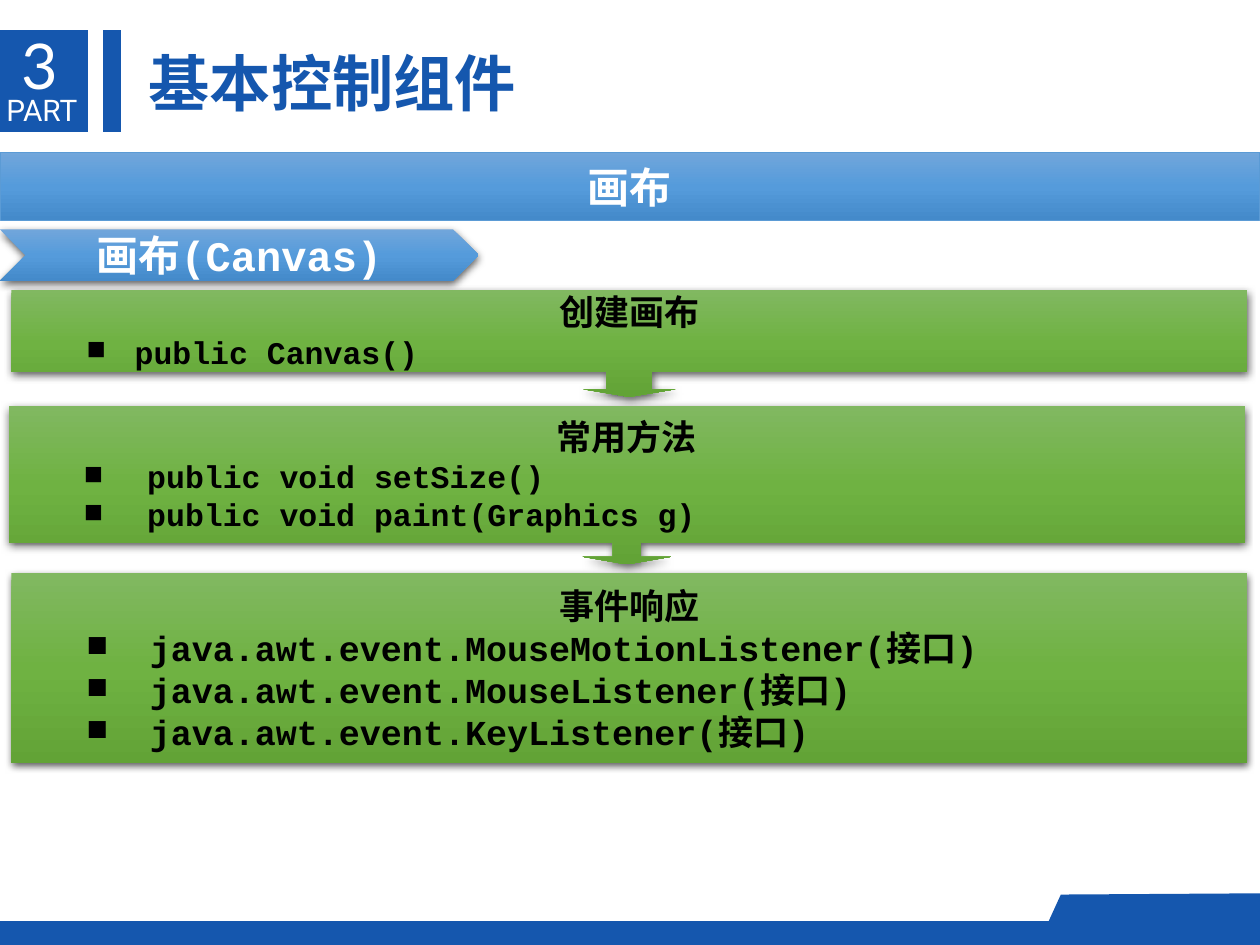
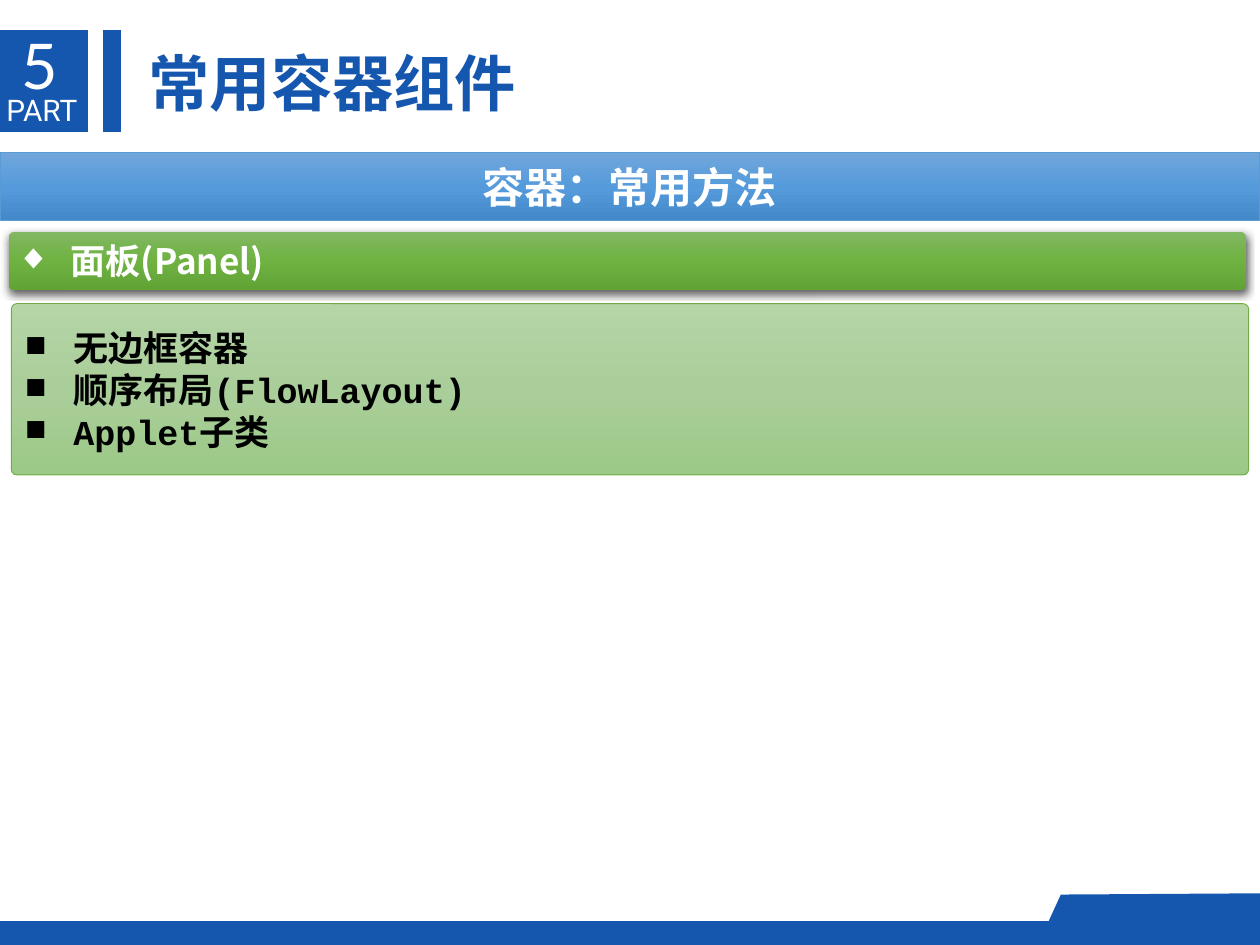
from copy import deepcopy

from lxml.etree import SubElement
from pptx import Presentation
from pptx.dml.color import RGBColor
from pptx.enum.shapes import MSO_SHAPE
from pptx.enum.text import MSO_ANCHOR, MSO_AUTO_SIZE, PP_ALIGN
from pptx.oxml.ns import qn
from pptx.util import Inches, Pt

NAVY, WHITE, BLACK = "1557AE", "FFFFFF", "000000"
BLUE = ("71A6DB", "559BDB", "448ACA")
GREEN = ("81B861", "6FB242", "62A336")
PALE_GREEN = ("B5D5A7", "AACE9A", "9CC987")
CJK, CODE = "Noto Sans CJK SC", "Courier New"

TITLE = {"size": Pt(35), "name": CJK, "bold": True}
BAND = {"size": Pt(24), "name": CJK, "bold": True}
CHEVRON = {"size": Pt(24), "name": CODE, "bold": True}
BODY = {"size": Pt(20), "name": CODE, "bold": True}
SMALL_BODY = {**BODY, "size": Pt(18)}
PANEL_HEAD = {**BODY, "name": CJK}
PART = {"size": Pt(17), "name": "Roboto", "bold": False}
NUMBER = {"size": Pt(36), "name": "Lato", "bold": False}


def write_text(box, lines, style, color, align=PP_ALIGN.LEFT, bullet=None, level=0):
    """Add lines to a box; bullet is (symbol, left margin, hanging width)."""
    frame = box.text_frame
    for line in lines:
        para = frame.paragraphs[0] if not frame.text else frame.add_paragraph()
        para.alignment = align
        para.level = level
        if bullet:
            symbol, margin, hanging = bullet
            properties = para._p.get_or_add_pPr()
            properties.set("marL", str(Inches(margin)))
            properties.set("indent", str(-Inches(hanging)))
            SubElement(properties, qn("a:buFont")).set("typeface", CODE)
            SubElement(properties, qn("a:buChar")).set("char", symbol)
        span = para.add_run()
        span.text = line
        for name, value in style.items():
            setattr(span.font, name, value)
        span.font.color.rgb = RGBColor.from_string(color)
        SubElement(span._r.get_or_add_rPr(), qn("a:ea")).set("typeface", CJK)


def add_panel(page, kind, place, colors, outline=None, adjustments=()):
    """Add a gradient shape, with an outline if given and a soft shadow if not."""
    panel = page.shapes.add_shape(kind, *map(Inches, place))
    for index, value in enumerate(adjustments):
        panel.adjustments[index] = value
    panel.fill.gradient()
    panel.fill.gradient_angle = 270
    stop_list = panel._element.spPr.find(".//" + qn("a:gsLst"))
    stop_list.insert(1, deepcopy(stop_list[0]))
    for stop, position, color in zip(panel.fill.gradient_stops, (0, 0.5, 1), colors):
        stop.position = position
        stop.color.rgb = RGBColor.from_string(color)
    panel.shadow.inherit = False
    if outline:
        panel.line.color.rgb = RGBColor.from_string(outline)
        panel.line.width = Pt(0.5)
    else:
        panel.line.fill.background()
        effects = panel._element.spPr.find(qn("a:effectLst"))
        shadow = SubElement(effects, qn("a:outerShdw"), blurRad=str(Pt(4.5)),
                            dist=str(Pt(1.5)), dir="5400000", algn="ctr", rotWithShape="0")
        shadow_color = SubElement(shadow, qn("a:srgbClr"), val=BLACK)
        SubElement(shadow_color, qn("a:alpha"), val="63000")
    panel.text_frame.vertical_anchor = MSO_ANCHOR.MIDDLE
    return panel


deck = Presentation()
deck.slide_width, deck.slide_height = Inches(10), Inches(7.5)

# Frame shared by both slides: part block, title, footer and topic band
pages = []
for number, heading, topic in (("3", "基本控制组件", "画布"),
                               ("5", "常用容器组件", "容器：常用方法")):
    page = deck.slides.add_slide(deck.slide_layouts[5])
    pages.append(page)

    outline = page.shapes.build_freeform(Inches(10), Inches(7.45))
    outline.add_line_segments([(Inches(x), Inches(y)) for x, y in
                               ((10, 7.09), (8.42, 7.1), (8.26, 7.45))])
    blocks = [outline.convert_to_shape()]
    for place in ((0, 0.24, 0.7, 0.81), (0.82, 0.24, 0.14, 0.81), (0, 7.31, 10, 0.19)):
        blocks.append(page.shapes.add_shape(MSO_SHAPE.FLOWCHART_PROCESS, *map(Inches, place)))
    for block in blocks:
        block.fill.solid()
        block.fill.fore_color.rgb = RGBColor.from_string(NAVY)
        block.line.fill.background()
        block.shadow.inherit = False

    part_box = page.shapes.add_textbox(*map(Inches, (0.05, 0.73, 0.6, 0.29)))
    for side in ("left", "top", "right", "bottom"):
        setattr(part_box.text_frame, f"margin_{side}", 0)
    number_box = page.shapes.add_textbox(*map(Inches, (0.07, 0.16, 0.53, 0.71)))
    title = page.shapes.title
    title.left, title.top, title.width, title.height = map(Inches, (1.08, 0.31, 3.15, 0.69))
    for box, text, style, color in ((part_box, "PART", PART, WHITE),
                                    (number_box, number, NUMBER, WHITE),
                                    (title, heading, TITLE, NAVY)):
        box.text_frame.word_wrap = False
        box.text_frame.auto_size = MSO_AUTO_SIZE.SHAPE_TO_FIT_TEXT
        box.text_frame.vertical_anchor = MSO_ANCHOR.TOP
        write_text(box, [text], style, color)

    band = add_panel(page, MSO_SHAPE.RECTANGLE, (0, 1.21, 10, 0.54), BLUE, "5B9BD5")
    write_text(band, [topic], BAND, WHITE, PP_ALIGN.CENTER)

canvas_page, panel_page = pages

# Canvas: chevron label and three steps
chevron = add_panel(canvas_page, MSO_SHAPE.CHEVRON, (0, 1.82, 3.8, 0.41), BLUE)
write_text(chevron, ["画布(Canvas)"], CHEVRON, WHITE, PP_ALIGN.CENTER)

steps = (
    (MSO_SHAPE.DOWN_ARROW_CALLOUT, (0.09, 2.3, 9.81, 0.85), (0.422, 0.428, 0.071, 0.763),
     "创建画布", SMALL_BODY, ("■", 0.88, 0.38), ["public Canvas()"]),
    (MSO_SHAPE.DOWN_ARROW_CALLOUT, (0.07, 3.22, 9.81, 1.26), (0.176, 0.277, 0.048, 0.864),
     "常用方法", SMALL_BODY, ("■", 1, 0.5),
     ["public void setSize()", "public void paint(Graphics g)"]),
    (MSO_SHAPE.RECTANGLE, (0.09, 4.55, 9.81, 1.51), (),
     "事件响应", BODY, ("■", 1, 0.5),
     [f"java.awt.event.{name}(接口)"
      for name in ("MouseMotionListener", "MouseListener", "KeyListener")]),
)
for kind, place, adjustments, heading, style, bullet, lines in steps:
    step = add_panel(canvas_page, kind, place, GREEN, adjustments=adjustments)
    write_text(step, [heading], BODY, BLACK, PP_ALIGN.CENTER)
    write_text(step, lines, style, BLACK, bullet=bullet, level=1)

# Panel: description below its heading bar
description = add_panel(panel_page, MSO_SHAPE.ROUNDED_RECTANGLE, (0.09, 2.41, 9.82, 1.36),
                        PALE_GREEN, "70AD47", (0.033,))
write_text(description, ["无边框容器", "顺序布局(FlowLayout)", "Applet子类"],
           BODY, BLACK, bullet=("■", 0.38, 0.38))
heading_bar = add_panel(panel_page, MSO_SHAPE.ROUNDED_RECTANGLE, (0.07, 1.84, 9.82, 0.46),
                        GREEN, adjustments=(0.098,))
write_text(heading_bar, ["面板(Panel)"], PANEL_HEAD, WHITE, bullet=("◆", 0.38, 0.38))

deck.save("out.pptx")
